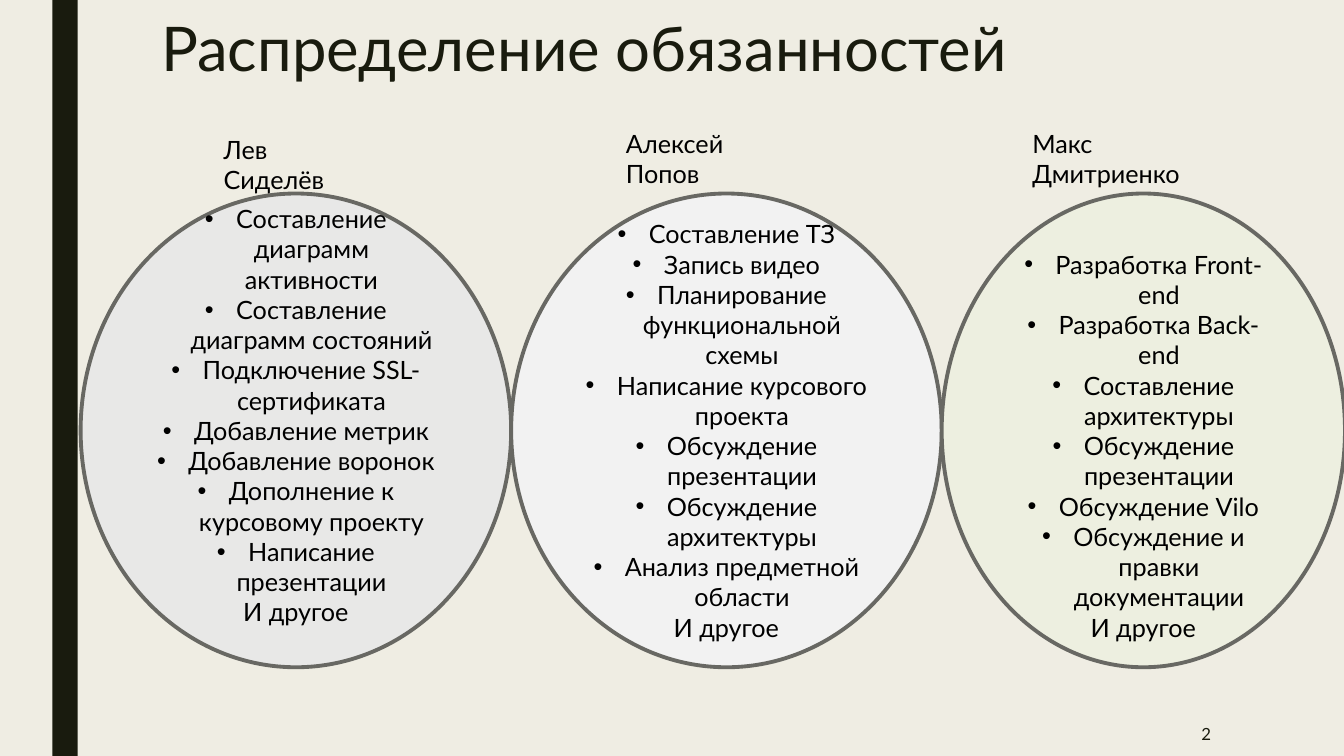
from lxml.etree import SubElement
from pptx import Presentation
from pptx.dml.color import RGBColor
from pptx.enum.shapes import MSO_SHAPE as Shape
from pptx.enum.text import MSO_ANCHOR as Anchor, PP_ALIGN as Align
from pptx.oxml.ns import qn
from pptx.util import Inches, Pt

COLORS = {
    "background": "EFEDE3", "dark": "191B0E", "text": "000000", "outline": "686863",
    "grey": "E8E8E7", "light": "F2F2F2", "green": "EDEFE0",
}
FONT = "Lato"
CIRCLE_TOP, CIRCLE_HEIGHT = 1.92, 4.7
FIRST_CIRCLE_LEFT = 0.8
CLOSING = "И другое"

# name, name box (left, top, width), circle width, fill, vertical text shift, duties
MEMBERS = [
    ("Лев Сиделёв", (2.12, 1.28, 1.58), 4.27, "grey", -0.15, [
        "Составление диаграмм активности", "Составление диаграмм состояний",
        "Подключение SSL-сертификата", "Добавление метрик", "Добавление воронок",
        "Дополнение к курсовому проекту", "Написание презентации"]),
    ("Алексей Попов", (6.11, 1.22, 1.84), 4.27, "light", 0, [
        "Составление ТЗ", "Запись видео", "Планирование функциональной схемы",
        "Написание курсового проекта", "Обсуждение презентации",
        "Обсуждение архитектуры", "Анализ предметной области"]),
    ("Макс Дмитриенко", (10.14, 1.22, 2.17), 4, "green", 0.15, [
        "Разработка Front-end", "Разработка Back-end", "Составление архитектуры",
        "Обсуждение презентации", "Обсуждение Vilo",
        "Обсуждение и правки документации"]),
]


def rgb(name):
    return RGBColor.from_string(COLORS[name])


def write(paragraph, text, size=18, color="text", align=Align.LEFT, spacing=None, bullet=False):
    paragraph.alignment = align
    if spacing:
        paragraph.line_spacing = spacing
    run = paragraph.add_run()
    run.text = text
    run.font.name = FONT
    run.font.size = Pt(size)
    run.font.color.rgb = rgb(color)
    if bullet:
        properties = paragraph._p.get_or_add_pPr()
        properties.set("marL", str(Inches(0.31)))
        properties.set("indent", str(-Inches(0.31)))
        SubElement(properties, qn("a:buFont")).set("typeface", "Arial")
        SubElement(properties, qn("a:buChar")).set("char", "•")


class DutySlide:
    def __init__(self, presentation):
        self.slide = presentation.slides.add_slide(presentation.slide_layouts[5])
        self.shapes = self.slide.shapes
        fill = self.slide.background.fill
        fill.solid()
        fill.fore_color.rgb = rgb("background")

    def add_title(self, text, *box):
        title = self.shapes.title
        title.left, title.top, title.width, title.height = map(Inches, box)
        title.text_frame.vertical_anchor = Anchor.TOP
        write(title.text_frame.paragraphs[0], text, size=44, color="dark", spacing=0.89)

    def add_filled(self, kind, fill, *box):
        shape = self.shapes.add_shape(kind, *map(Inches, box))
        shape.shadow.inherit = False
        shape.fill.solid()
        shape.fill.fore_color.rgb = rgb(fill)
        shape.line.fill.background()
        return shape

    def add_text(self, text, *box, anchor=Anchor.TOP, **style):
        frame = self.shapes.add_textbox(*map(Inches, box)).text_frame
        frame.word_wrap = True
        frame.vertical_anchor = anchor
        write(frame.paragraphs[0], text, **style)

    def add_duty_circle(self, duties, fill, shift, *box):
        """Draw a circle with its list moved down by shift inches."""
        circle = self.add_filled(Shape.OVAL, fill, *box)
        circle.line.color.rgb = rgb("outline")
        circle.line.width = Pt(2.75)
        frame = circle.text_frame
        frame.word_wrap = True
        frame.vertical_anchor = Anchor.MIDDLE
        frame.margin_top = Inches(0.05 + 2 * max(shift, 0))
        frame.margin_bottom = Inches(0.05 + 2 * max(-shift, 0))
        for index, duty in enumerate(duties):
            paragraph = frame.add_paragraph() if index else frame.paragraphs[0]
            write(paragraph, duty, align=Align.CENTER, bullet=True)
        write(frame.add_paragraph(), CLOSING, align=Align.CENTER)


def main():
    presentation = Presentation()
    presentation.slide_width, presentation.slide_height = Inches(13.33), Inches(7.5)
    page = DutySlide(presentation)
    page.add_filled(Shape.RECTANGLE, "dark", 0.52, 0, 0.25, 7.5)
    page.add_title("Распределение обязанностей", 1.5, 0.14, 10.5, 1.62)
    page.add_text("2", 10.36, 7.06, 1.75, 0.44, anchor=Anchor.MIDDLE,
                  size=12, color="dark", align=Align.RIGHT)
    left = FIRST_CIRCLE_LEFT
    for name, name_box, width, fill, shift, duties in MEMBERS:
        page.add_duty_circle(duties, fill, shift, left, CIRCLE_TOP, width, CIRCLE_HEIGHT)
        page.add_text(name, *name_box, 0.4)
        left += width
    presentation.save("out.pptx")


if __name__ == "__main__":
    main()
